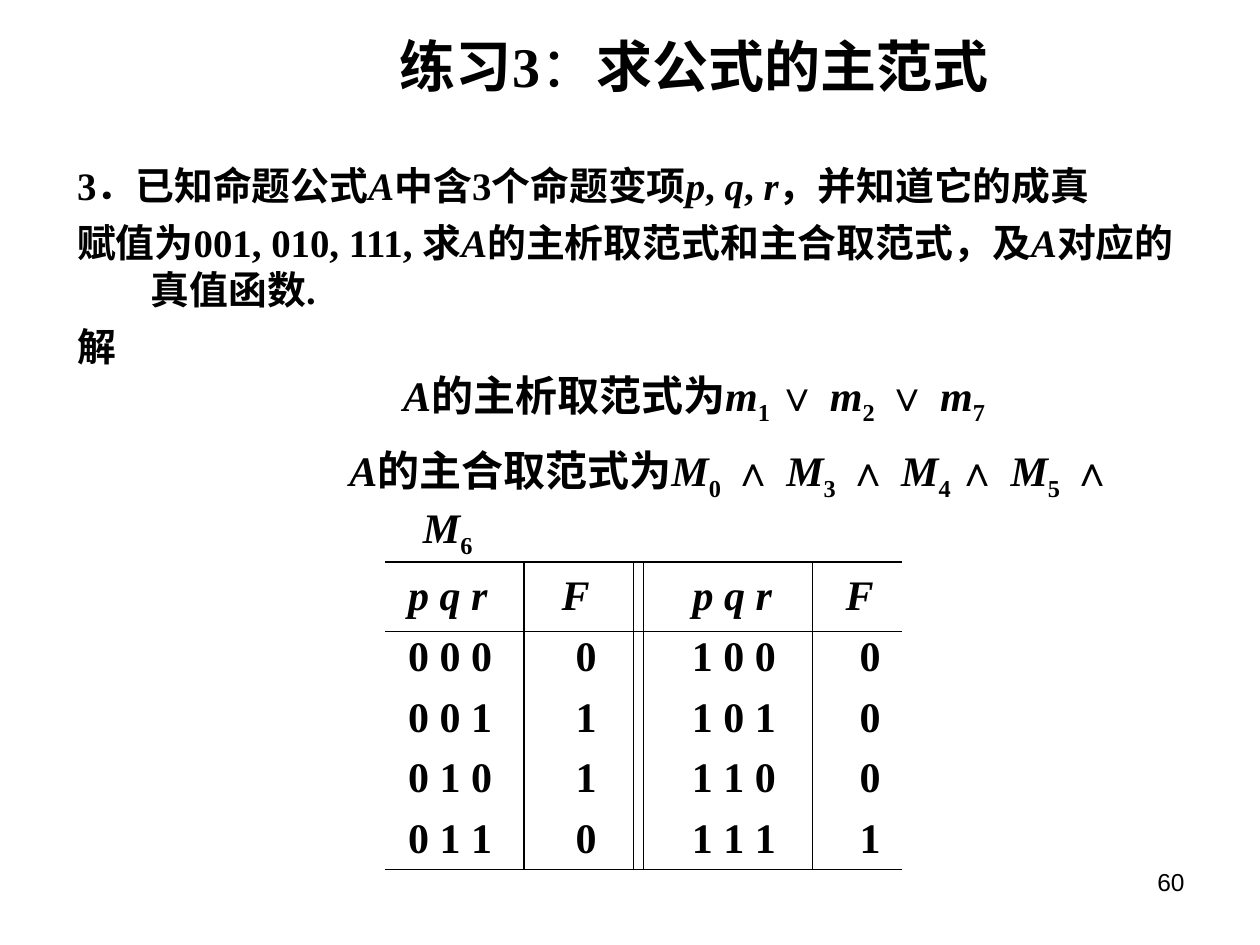
from lxml import etree
from pptx import Presentation
from pptx.dml.color import RGBColor
from pptx.enum.shapes import MSO_CONNECTOR
from pptx.enum.text import MSO_ANCHOR, PP_ALIGN
from pptx.oxml.ns import qn
from pptx.util import Pt

BLACK = RGBColor(0, 0, 0)
SERIF = "Times New Roman"
SANS = "Arial"
CENTER = PP_ALIGN.CENTER
RIGHT = PP_ALIGN.RIGHT
MIDDLE = MSO_ANCHOR.MIDDLE
STRAIGHT = MSO_CONNECTOR.STRAIGHT

PLAIN, ITALIC, SUBSCRIPT, OPERATOR = "plain", "italic", "subscript", "operator"

PROBLEM = [
    [("3．已知命题公式", PLAIN), ("A", ITALIC), ("中含3个命题变项", PLAIN),
     ("p", ITALIC), (", ", PLAIN), ("q", ITALIC), (", ", PLAIN),
     ("r", ITALIC), ("，并知道它的成真", PLAIN)],
    [("赋值为001, 010, 111, 求", PLAIN), ("A", ITALIC),
     ("的主析取范式和主合取范式，及", PLAIN), ("A", ITALIC),
     ("对应的真值函数.", PLAIN)],
    [("解", PLAIN)],
]
TRUE_ROWS = (1, 2, 7)
FALSE_ROWS = [row for row in range(8) if row not in TRUE_ROWS]
NARROW_GAPS = (1, 4)

HEADER_TABS = (87.7, 162.6, 250)
VALUE_TABS = (95.7, 162.1, 258)
COLUMN_RULES = (79.2, 141.8, 147.6, 244.1)
HEADER_HEIGHT = 39.6


def format_run(run, size, font=SERIF, bold=True, italic=False):
    run.font.name = font
    run.font.size = Pt(size)
    run.font.bold = bold
    run.font.italic = italic
    run.font.color.rgb = BLACK


def add_text_frame(slide, box):
    shape = slide.shapes.add_textbox(*(Pt(length) for length in box))
    shape.text_frame.word_wrap = True
    return shape.text_frame


def fill_paragraph(paragraph, pieces, size):
    paragraph.space_before = Pt(6)
    properties = paragraph._p.get_or_add_pPr()
    properties.set("marL", str(Pt(42)))
    properties.set("indent", str(Pt(-42)))
    for text, style in pieces:
        run = paragraph.add_run()
        run.text = text
        font = SANS if style == OPERATOR else SERIF
        format_run(run, size, font, italic=style == ITALIC)
        if style == SUBSCRIPT:
            run.font._element.set("baseline", "-25000")


def add_title(slide, box):
    frame = add_text_frame(slide, box)
    frame.vertical_anchor = MIDDLE
    paragraph = frame.paragraphs[0]
    paragraph.alignment = CENTER
    for text, font, bold in (("练习", SANS, True), ("3", SERIF, True),
                             ("：", SANS, False), ("求公式的主范式", SANS, True)):
        run = paragraph.add_run()
        run.text = text
        format_run(run, 32, font, bold)


def add_problem(slide, box):
    frame = add_text_frame(slide, box)
    for index, pieces in enumerate(PROBLEM):
        paragraph = frame.add_paragraph() if index else frame.paragraphs[0]
        paragraph.line_spacing = 1.0
        fill_paragraph(paragraph, pieces, 22.2)


def add_normal_form(slide, box, subject, label, letter, operator, indices):
    pieces = [(subject, ITALIC), (label, PLAIN)]
    for index in indices:
        pieces.append((letter, ITALIC))
        if index == indices[-1]:
            pieces.append((str(index), SUBSCRIPT))
        elif index in NARROW_GAPS:
            pieces += [(f"{index} ", SUBSCRIPT), (f"{operator} ", OPERATOR)]
        else:
            pieces += [(str(index), SUBSCRIPT), (f" {operator} ", OPERATOR)]
    fill_paragraph(add_text_frame(slide, box).paragraphs[0], pieces, 24)


def add_rule(slide, *ends):
    rule = slide.shapes.add_connector(STRAIGHT, *(Pt(length) for length in ends))
    rule.line.color.rgb = BLACK
    rule.line.width = Pt(0.75)
    etree.SubElement(rule._element.spPr, qn("a:effectLst"))


def set_tabs(paragraph, positions):
    properties = paragraph._p.get_or_add_pPr()
    tabs = etree.SubElement(properties, qn("a:tabLst"))
    for position in positions:
        etree.SubElement(tabs, qn("a:tab"), pos=str(Pt(position)), algn="l")


def truth_entry(number):
    return " ".join(f"{number:03b}"), str(int(number in TRUE_ROWS))


def add_truth_table(slide, box):
    left, top, width, height = box
    rows = [("p q r", "F") * 2]
    rows += [truth_entry(n) + truth_entry(n + 4) for n in range(4)]
    frame = add_text_frame(slide, (left + 5.8, top + 0.5, 323.3, 187.2))
    for index, texts in enumerate(rows):
        paragraph = frame.add_paragraph() if index else frame.paragraphs[0]
        paragraph.line_spacing = Pt(28.7)
        paragraph.space_before = Pt(6)
        set_tabs(paragraph, VALUE_TABS if index else HEADER_TABS)
        run = paragraph.add_run()
        run.text = "\t".join(texts)
        format_run(run, 24, italic=index == 0)
    for offset in (0, HEADER_HEIGHT, height):
        add_rule(slide, left, top + offset, left + width, top + offset)
    for offset in COLUMN_RULES:
        add_rule(slide, left + offset, top, left + offset, top + height)


def add_page_number(slide, box):
    paragraph = add_text_frame(slide, box).paragraphs[0]
    paragraph.text = "60"
    paragraph.alignment = RIGHT
    format_run(paragraph.runs[0], 14, SANS, bold=False)


def main():
    presentation = Presentation()
    presentation.slide_width = Pt(720)
    presentation.slide_height = Pt(540)
    slide = presentation.slides.add_slide(presentation.slide_layouts[6])
    add_page_number(slide, (516, 492, 168, 37.5))
    add_title(slide, (156, 20.5, 481.5, 33))
    add_problem(slide, (37, 88.8, 648, 159))
    add_normal_form(slide, (218.2, 207.4, 408, 45.4), " A", "的主析取范式为",
                    "m", "∨", TRUE_ROWS)
    add_normal_form(slide, (192.6, 250.5, 471, 46.8), "A", "的主合取范式为",
                    "M", "∧", FALSE_ROWS)
    add_truth_table(slide, (220.3, 321.1, 295.2, 175.7))
    presentation.save("out.pptx")


if __name__ == "__main__":
    main()
